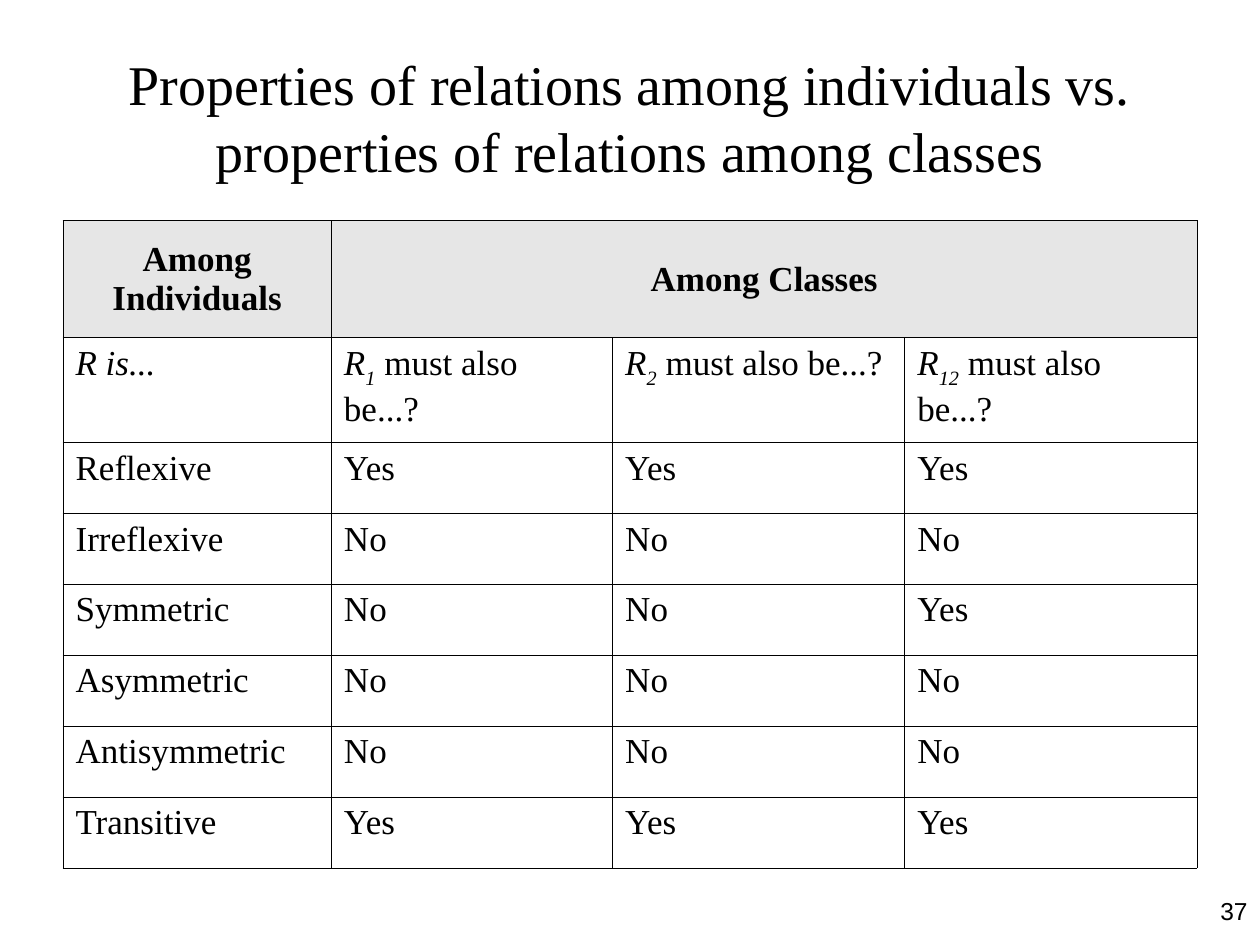
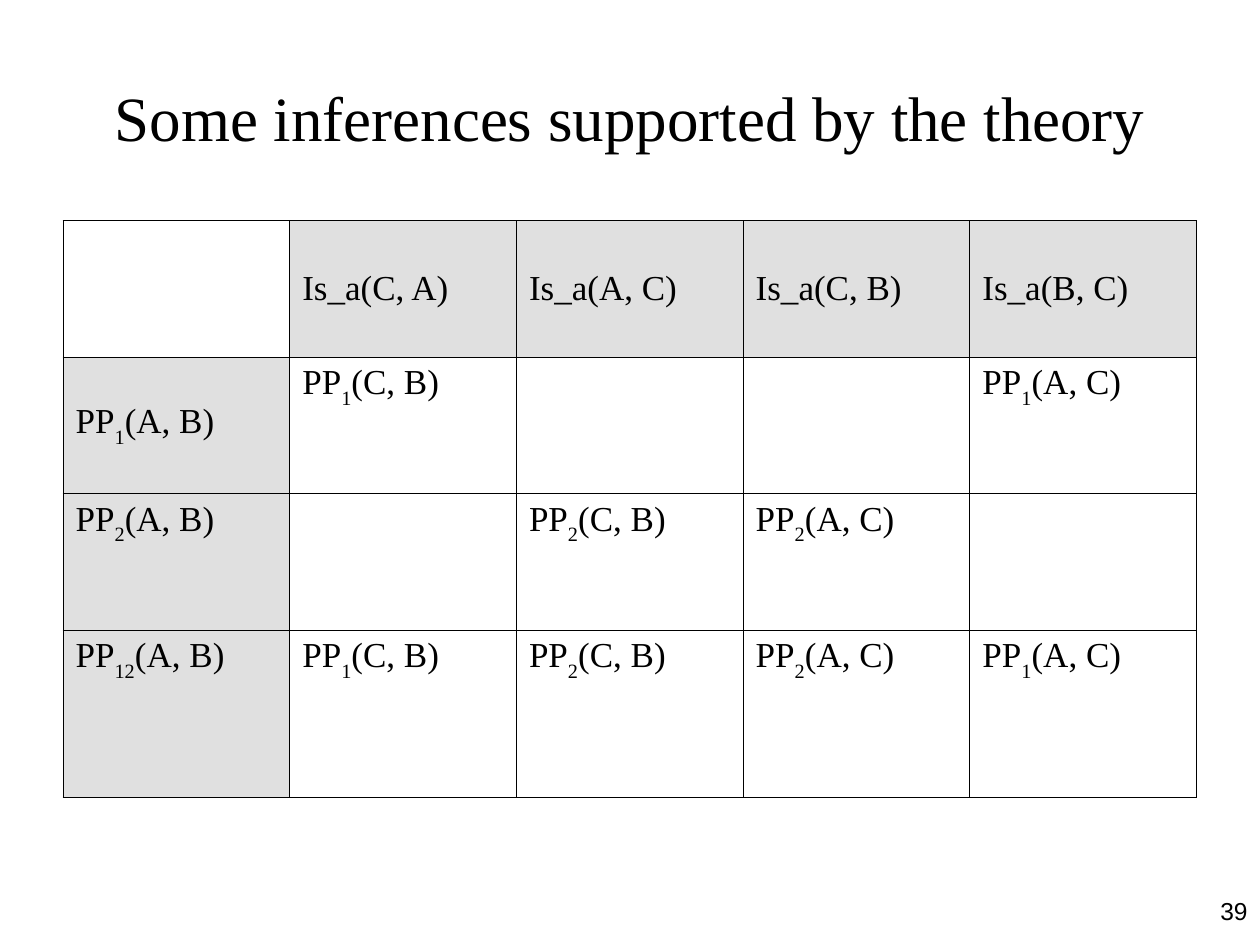
from lxml import etree
from pptx import Presentation
from pptx.dml.color import RGBColor
from pptx.enum.text import MSO_ANCHOR as Anchor, MSO_AUTO_SIZE as AutoSize, PP_ALIGN as Align
from pptx.oxml.ns import qn
from pptx.util import Cm, Pt

BLACK = RGBColor(0x00, 0x00, 0x00)
PROPERTY_GREY = RGBColor(0xE6, 0xE6, 0xE6)
INFERENCE_GREY = RGBColor(0xE0, 0xE0, 0xE0)
SERIF = "Times New Roman"
SANS = "Arial"
TITLE_ONLY = 5
LEFT, WIDTH = Cm(1.27), Cm(22.86)
BORDER = Pt(0.45)


def add_run(paragraph, text, size, face=SERIF, bold=False, italic=False, subscript=False):
    run = paragraph.add_run()
    run.text = text
    font = run.font
    font.name, font.size = face, Pt(size)
    font.bold, font.italic = bold, italic
    font.color.rgb = BLACK
    if subscript:
        run._r.get_or_add_rPr().set("baseline", "-30000")


def add_titled_slide(deck, heading, size, number):
    slide = deck.slides.add_slide(deck.slide_layouts[TITLE_ONLY])
    title = slide.shapes.title
    title.left, title.top, title.width, title.height = LEFT, Cm(0.76), WIDTH, Cm(3.18)
    title.text_frame.auto_size = AutoSize.NONE
    title.text_frame.vertical_anchor = Anchor.MIDDLE
    heading_line = title.text_frame.paragraphs[0]
    heading_line.alignment = Align.CENTER
    add_run(heading_line, heading, size)

    page = slide.shapes.add_textbox(Cm(19.48), Cm(17.93), Cm(5.92), Cm(1.32))
    page.text_frame.word_wrap = True
    page_line = page.text_frame.paragraphs[0]
    page_line.alignment = Align.RIGHT
    add_run(page_line, str(number), 14, SANS)
    return slide


def add_borders(cell):
    properties = cell._tc.get_or_add_tcPr()
    for side in ("a:lnL", "a:lnR", "a:lnT", "a:lnB"):
        line = etree.SubElement(properties, qn(side), w=str(BORDER))
        fill = etree.SubElement(line, qn("a:solidFill"))
        etree.SubElement(fill, qn("a:srgbClr"), val=str(BLACK))


def add_grid(slide, column_widths, row_heights):
    grid = slide.shapes.add_table(
        len(row_heights), len(column_widths), LEFT, Cm(4.45),
        Cm(sum(column_widths)), Cm(sum(row_heights)),
    ).table
    grid.first_row = grid.horz_banding = False
    for column, width in zip(grid.columns, column_widths):
        column.width = Cm(width)
    for row, height in zip(grid.rows, row_heights):
        row.height = Cm(height)
    for cell in grid.iter_cells():
        add_borders(cell)
        cell.fill.background()
    return grid


def shade(cell, colour):
    cell.fill.solid()
    cell.fill.fore_color.rgb = colour


def write_cell(cell, runs, anchor=Anchor.TOP, align=Align.LEFT):
    cell.vertical_anchor = anchor
    line = cell.text_frame.paragraphs[0]
    line.alignment = align
    for text, style in runs:
        add_run(line, text, 20, **style)


def class_question(index):
    return [
        ("R", {"italic": True}),
        (index, {"italic": True, "subscript": True}),
        (" must also be...?", {}),
    ]


def part_relation(index, arguments):
    return [("PP", {}), (index, {"subscript": True}), (f"({arguments})", {})]


def build_properties(deck):
    slide = add_titled_slide(
        deck,
        "Properties of relations among individuals vs. properties of relations among classes",
        32, 37,
    )
    grid = add_grid(slide, [5.41, 5.67, 5.89, 5.89], [2.36, 2.11] + [1.43] * 6)
    grid.cell(0, 1).merge(grid.cell(0, 3))
    for column, header in enumerate(("Among Individuals", "Among Classes")):
        cell = grid.cell(0, column)
        shade(cell, PROPERTY_GREY)
        write_cell(cell, [(header, {"bold": True})], Anchor.MIDDLE, Align.CENTER)

    write_cell(grid.cell(1, 0), [("R is...", {"italic": True})])
    for column, index in enumerate(("1", "2", "12"), 1):
        write_cell(grid.cell(1, column), class_question(index))

    answers = [
        ("Reflexive", "Yes", "Yes", "Yes"),
        ("Irreflexive", "No", "No", "No"),
        ("Symmetric", "No", "No", "Yes"),
        ("Asymmetric", "No", "No", "No"),
        ("Antisymmetric", "No", "No", "No"),
        ("Transitive", "Yes", "Yes", "Yes"),
    ]
    for row, entries in enumerate(answers, 2):
        for column, entry in enumerate(entries):
            write_cell(grid.cell(row, column), [(entry, {})])


def build_inferences(deck):
    slide = add_titled_slide(deck, "Some inferences supported by the theory", 36, 39)
    grid = add_grid(slide, [4.57] * 5, [2.75] * 3 + [3.38])
    for column, arguments in enumerate(("C, A", "A, C", "C, B", "B, C"), 1):
        cell = grid.cell(0, column)
        shade(cell, INFERENCE_GREY)
        write_cell(cell, [(f"Is_a({arguments})", {})], Anchor.MIDDLE)

    conclusions = [("1", "C, B"), ("2", "C, B"), ("2", "A, C"), ("1", "A, C")]
    for row, premise in enumerate(("1", "2", "12"), 1):
        premise_cell = grid.cell(row, 0)
        shade(premise_cell, INFERENCE_GREY)
        anchor = Anchor.MIDDLE if row == 1 else Anchor.TOP
        write_cell(premise_cell, part_relation(premise, "A, B"), anchor)
        for column, (index, arguments) in enumerate(conclusions, 1):
            if index in premise:
                write_cell(grid.cell(row, column), part_relation(index, arguments))


def main():
    deck = Presentation()
    deck.slide_width, deck.slide_height = Cm(25.4), Cm(19.05)
    build_properties(deck)
    build_inferences(deck)
    deck.save("out.pptx")


if __name__ == "__main__":
    main()
